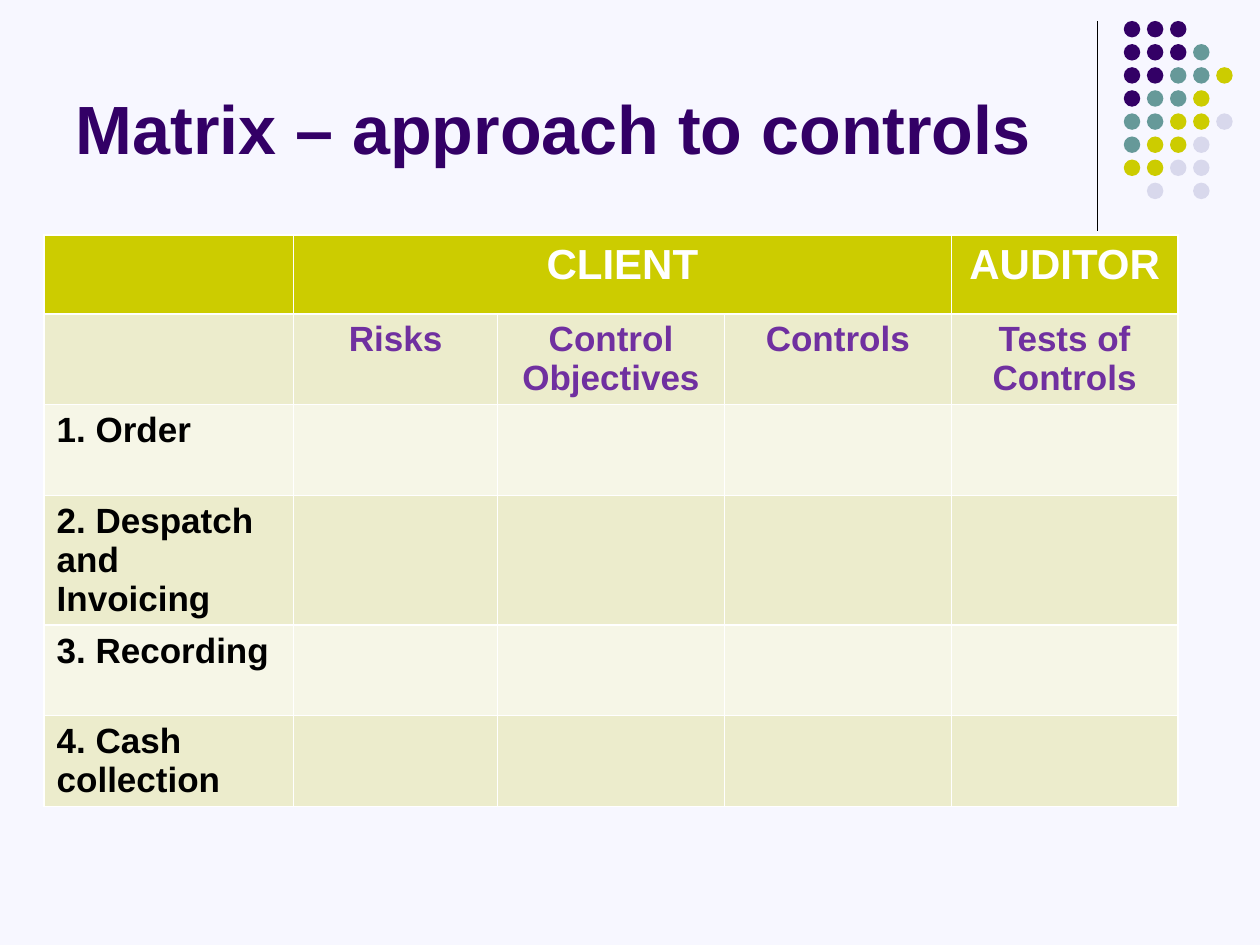
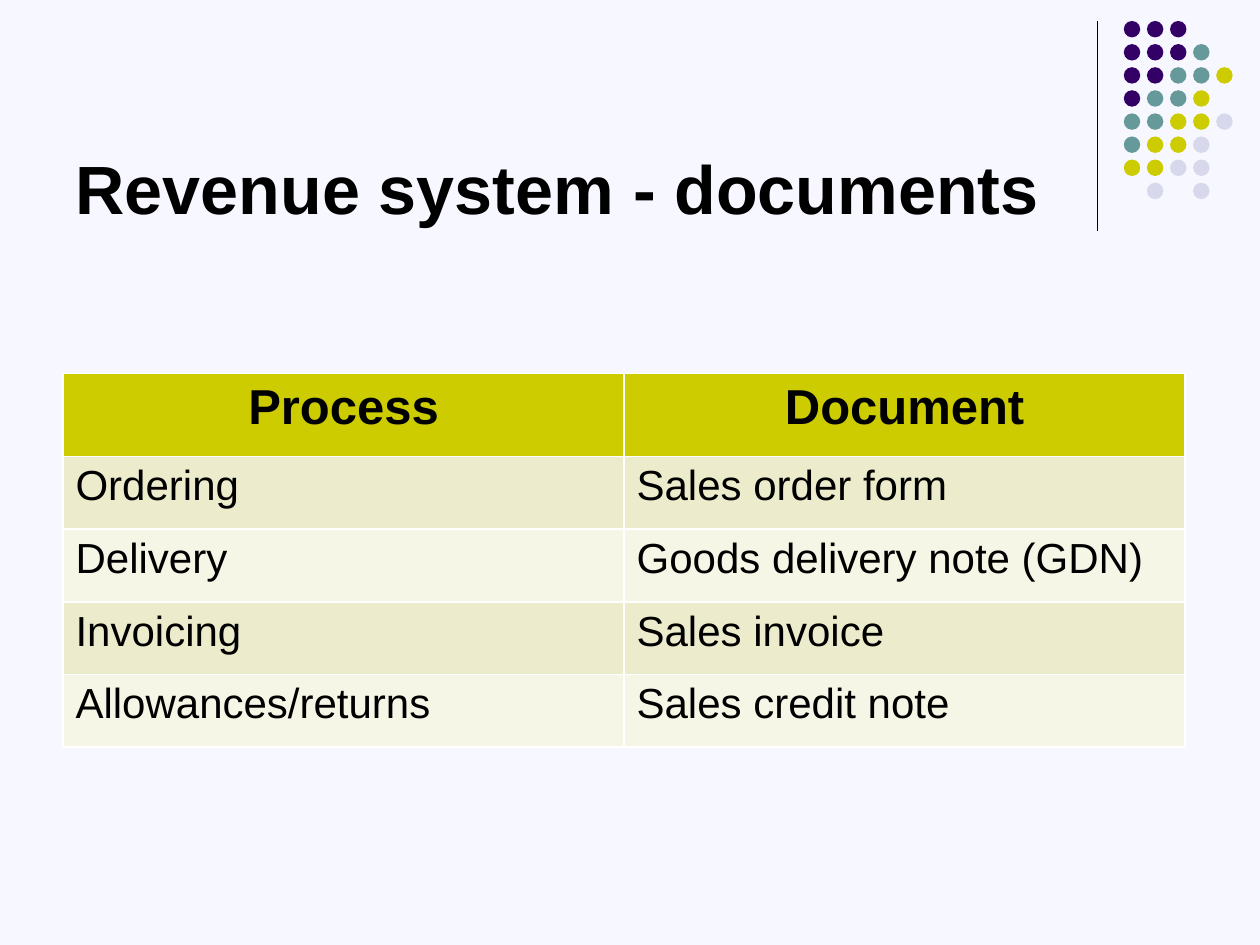
from dataclasses import dataclass

from lxml import etree
from pptx import Presentation
from pptx.dml.color import RGBColor as Color
from pptx.enum.shapes import MSO_CONNECTOR as Connector, MSO_SHAPE as Preset
from pptx.enum.text import MSO_ANCHOR as Anchor, MSO_AUTO_SIZE as AutoSize, PP_ALIGN as Align
from pptx.oxml.ns import qn
from pptx.util import Pt


@dataclass(frozen=True)
class Theme:
    """Colours and type sizes shared by the slides."""
    font = "Arial"
    background = Color.from_string("F7F7FF")
    black = Color.from_string("000000")
    white = Color.from_string("FFFFFF")
    indigo = Color.from_string("330066")
    purple = Color.from_string("7030A0")
    teal = Color.from_string("669999")
    lime = Color.from_string("CCCC00")
    lavender = Color.from_string("D8D8EC")
    bands = (Color.from_string("F6F6E7"), Color.from_string("ECECCC"))
    title_size = 39
    large = 28
    medium = 24
    small = 20


theme = Theme()

# Each text style: size, colour, bold, alignment
STYLES = {
    "party": (theme.medium, theme.white, True, Align.CENTER),
    "column": (theme.small, theme.purple, True, Align.CENTER),
    "step": (theme.small, theme.black, True, Align.LEFT),
    "heading": (theme.large, theme.black, True, Align.CENTER),
    "body": (theme.medium, theme.black, False, Align.LEFT),
}


def set_values(target, values):
    """Set each attribute named in values on target."""
    for name, value in values.items():
        setattr(target, name, value)


def style_paragraph(paragraph, size, color, bold, alignment):
    """Give a paragraph its font and alignment."""
    set_values(paragraph.font, {"name": theme.font, "size": Pt(size), "bold": bold})
    paragraph.font.color.rgb = color
    paragraph.alignment = alignment


# Table rows: text style, height, cell texts
SLIDES = [
    {
        "title": "Matrix – approach to controls",
        "title_color": theme.indigo,
        "title_height": 62.6,
        "table_at": (25.2, 134.2),
        "columns": [142.6, 116.6, 129.6, 129.6, 129.6],
        "merge": (1, 3),
        "rows": [
            ("party", 45.2, ["", "CLIENT", "", "", "AUDITOR"]),
            ("column", 51.8, ["", "Risks", "Control Objectives", "Controls", "Tests of Controls"]),
            ("step", 51.8, ["1. Order"]),
            ("step", 74.2, ["2. Despatch and Invoicing"]),
            ("step", 51.8, ["3. Recording"]),
            ("step", 51.8, ["4. Cash collection"]),
        ],
    },
    {
        "title": "Revenue system - documents",
        "title_color": theme.black,
        "title_height": 96.5,
        "table_at": (36, 213.4),
        "columns": [320.6, 320.6],
        "merge": None,
        "rows": [
            ("heading", 47.5, ["Process", "Document"]),
            ("body", 41.5, ["Ordering", "Sales order form"]),
            ("body", 41.5, ["Delivery", "Goods delivery note (GDN)"]),
            ("body", 41.5, ["Invoicing", "Sales invoice"]),
            ("body", 41.5, ["Allowances/returns", "Sales credit note"]),
        ],
    },
]

presentation = Presentation()
set_values(presentation, {"slide_width": Pt(720), "slide_height": Pt(540)})

# Shared layout: background, and title as the only placeholder
layout = presentation.slide_layouts.get_by_name("Title Only")
fill = presentation.slide_master.background.fill
fill.solid()
fill.fore_color.rgb = theme.background
for placeholder in list(layout.placeholders):
    if placeholder.placeholder_format.idx != 0:
        placeholder.element.getparent().remove(placeholder.element)

slides = [presentation.slides.add_slide(layout) for _ in SLIDES]

# Shared corner ornament: drawn on the first slide, then moved to the layout
DOT_ROWS = ["III", "IIIT", "IITTL", "ITTL", "TTLLV", "TLLV", "LLVV", " V V"]
DOT_COLORS = {"I": theme.indigo, "T": theme.teal, "L": theme.lime, "V": theme.lavender}
DOT_LEFT, DOT_TOP, DOT_PITCH, DOT_SIZE = 642.2, 12, 13.2, 9.4

rule = slides[0].shapes.add_connector(Connector.STRAIGHT, Pt(627), Pt(12), Pt(627), Pt(132))
rule.line.color.rgb = theme.black
rule.line.width = Pt(0.75)
etree.SubElement(rule.element.spPr, qn("a:effectLst"))

dots = slides[0].shapes.add_group_shape()
for row, letters in enumerate(DOT_ROWS):
    for column, letter in enumerate(letters):
        if letter == " ":
            continue
        dot = dots.shapes.add_shape(
            Preset.OVAL, Pt(DOT_LEFT + column * DOT_PITCH), Pt(DOT_TOP + row * DOT_PITCH),
            Pt(DOT_SIZE), Pt(DOT_SIZE))
        dot.shadow.inherit = False
        dot.fill.solid()
        dot.fill.fore_color.rgb = DOT_COLORS[letter]
        dot.line.fill.background()

for ornament in (rule, dots):
    layout.shapes.element.append(ornament.element)

# Title and table of each slide
for slide, content in zip(slides, SLIDES):
    title = slide.shapes.title
    set_values(title, {"left": Pt(36), "top": Pt(37.4), "width": Pt(594),
                       "height": Pt(content["title_height"])})
    set_values(title.text_frame, {"text": content["title"], "word_wrap": True,
                                  "auto_size": AutoSize.NONE,
                                  "vertical_anchor": Anchor.BOTTOM})
    style_paragraph(title.text_frame.paragraphs[0], theme.title_size,
                    content["title_color"], True, Align.LEFT)

    rows, columns = content["rows"], content["columns"]
    left, top = content["table_at"]
    table = slide.shapes.add_table(
        len(rows), len(columns), Pt(left), Pt(top), Pt(sum(columns)),
        Pt(sum(height for _, height, _ in rows))).table
    for column, width in zip(table.columns, columns):
        column.width = Pt(width)

    for index, (style, height, texts) in enumerate(rows):
        table.rows[index].height = Pt(height)
        for cell in table.rows[index].cells:
            cell.fill.solid()
            cell.fill.fore_color.rgb = theme.bands[index % 2] if index else theme.lime
        for cell, text in zip(table.rows[index].cells, texts):
            if text:
                cell.text = text
                style_paragraph(cell.text_frame.paragraphs[0], *STYLES[style])

    if content["merge"]:
        first, last = content["merge"]
        table.cell(0, first).merge(table.cell(0, last))

presentation.save("out.pptx")
